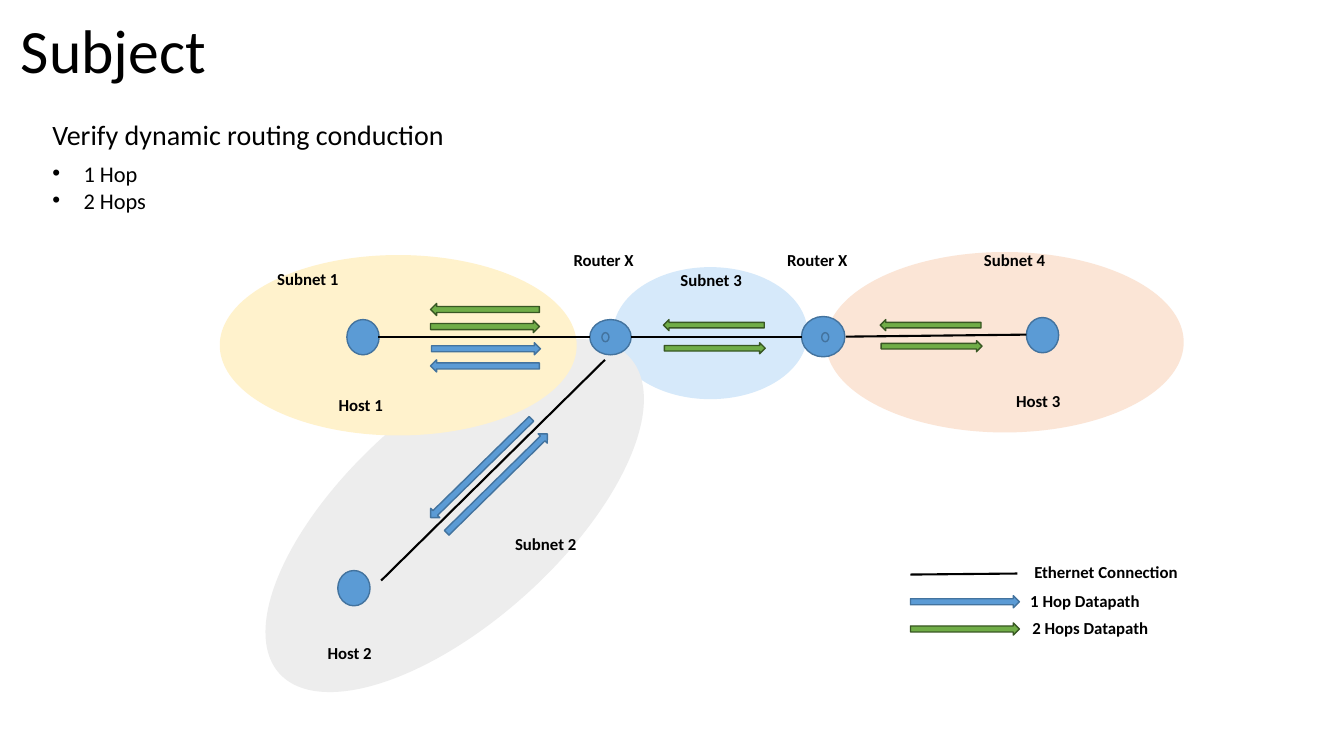
from lxml import etree
from pptx import Presentation
from pptx.dml.color import RGBColor
from pptx.enum.shapes import MSO_CONNECTOR, MSO_SHAPE
from pptx.enum.text import MSO_ANCHOR, MSO_AUTO_SIZE, PP_ALIGN
from pptx.oxml.ns import qn
from pptx.util import Inches, Pt

OVAL = MSO_SHAPE.OVAL
ARROW = MSO_SHAPE.RIGHT_ARROW
STRAIGHT = MSO_CONNECTOR.STRAIGHT
MIDDLE = MSO_ANCHOR.MIDDLE
GROW = MSO_AUTO_SIZE.SHAPE_TO_FIT_TEXT
LEFT = PP_ALIGN.LEFT

COLORS = {
    "black": "000000", "blue": "5B9BD5", "navy": "43739E",
    "green": "70AD47", "moss": "385723", "peach": "FBE5D6",
    "sky": "D6E9FA", "gray": "EDEDED", "cream": "FFF2CC",
}
EDGES = {"blue": "navy", "green": "moss"}


def color(name):
    return RGBColor.from_string(COLORS[name])


def write(para, text, size=12, bold=False, bullet=None, after=0, space=None):
    """Put formatted text into a paragraph."""
    if bullet:
        props = para._p.get_or_add_pPr()
        props.set("marL", str(Inches(0.31)))
        props.set("indent", str(-Inches(0.31)))
        etree.SubElement(props, qn("a:buFont")).set("typeface", "Arial")
        etree.SubElement(props, qn("a:buChar")).set("char", bullet)
    para.alignment = LEFT
    para.space_after = Pt(after)
    if space:
        para.line_spacing = space
    run = para.add_run()
    run.text = text
    run.font.name = "Calibri"
    run.font.size = Pt(size)
    run.font.bold = bold
    run.font.color.rgb = color("black")


class Board:
    def __init__(self, slide):
        self.slide = slide

    def shape(self, kind, x, y, w, h, fill, turn=0):
        item = self.slide.shapes.add_shape(
            kind, Inches(x), Inches(y), Inches(w), Inches(h))
        item.shadow.inherit = False
        item.rotation = turn
        item.fill.solid()
        item.fill.fore_color.rgb = color(fill)
        if fill in EDGES:
            item.line.color.rgb = color(EDGES[fill])
            item.line.width = Pt(1)
        else:
            item.line.fill.background()

    def link(self, x1, y1, x2, y2):
        item = self.slide.shapes.add_connector(
            STRAIGHT, Inches(x1), Inches(y1), Inches(x2), Inches(y2))
        item.line.color.rgb = color("black")
        item.line.width = Pt(1.5)
        etree.SubElement(item._element.spPr, qn("a:effectLst"))

    def box(self, x, y, w, h, wrap=False):
        item = self.slide.shapes.add_textbox(
            Inches(x), Inches(y), Inches(w), Inches(h))
        frame = item.text_frame
        frame.word_wrap = wrap
        if not wrap:
            frame.auto_size = GROW
        return frame

    def label(self, text, x, y, w):
        write(self.box(x, y, w, 0.3).paragraphs[0], text, bold=True)


def main():
    deck = Presentation()
    deck.slide_width = Inches(13.33)
    deck.slide_height = Inches(7.5)
    board = Board(deck.slides.add_slide(deck.slide_layouts[6]))

    # Title and goals
    title = board.box(0.11, -0.19, 11.5, 1.45, wrap=True)
    title.vertical_anchor = MIDDLE
    write(title.paragraphs[0], "Subject", size=44, space=0.9)
    goals = board.box(0.42, 1.12, 4.12, 1.06)
    write(goals.paragraphs[0], "Verify dynamic routing conduction",
          size=20, after=6)
    for text in ("1 Hop", "2 Hops"):
        write(goals.add_paragraph(), text, size=16, bullet="•")

    # Subnet areas
    for x, y, w, h, fill, turn in (
            (8.19, 2.5, 3.55, 1.79, "peach", 0),
            (6.08, 2.65, 1.93, 1.31, "sky", 0),
            (2.17, 4.06, 4.68, 2.11, "gray", 318),
            (2.18, 2.53, 3.54, 1.79, "cream", 0)):
        board.shape(OVAL, x, y, w, h, fill, turn)

    # Routers, each with a small port, and hosts
    for x, y, w, h, port in ((5.85, 3.17, 0.41, 0.35, 5.97),
                             (7.95, 3.14, 0.43, 0.4, 8.15)):
        board.shape(OVAL, x, y, w, h, "blue")
        board.shape(OVAL, port, 3.3, 0.07, 0.09, "blue")
    for x, y in ((3.44, 3.17), (3.35, 5.66), (10.18, 3.15)):
        board.shape(OVAL, x, y, 0.32, 0.35, "blue")

    # Ethernet links, the last one in the legend
    for ends in ((6.26, 3.34, 7.95, 3.34), (3.75, 3.34, 5.85, 3.34),
                 (8.39, 3.34, 10.18, 3.32), (6, 3.57, 3.78, 5.76),
                 (9.03, 5.7, 10.09, 5.69)):
        board.link(*ends)

    # Datapath arrows
    for x, y, fill, turn in (
            (4.28, 3.4, "blue", 0), (4.27, 3.57, "blue", 180),
            (4.27, 3.18, "green", 0), (4.27, 3.01, "green", 180),
            (9.03, 5.91, "blue", 0), (9.03, 6.18, "green", 0)):
        board.shape(ARROW, x, y, 1.08, 0.12, fill, turn)
    for x, y, turn in ((6.59, 3.4, 0), (6.58, 3.17, 180),
                       (8.74, 3.38, 0), (8.73, 3.17, 180)):
        board.shape(ARROW, x, y, 1, 0.11, "green", turn)
    for x, y, turn in ((4.07, 4.58, 135.6), (4.23, 4.73, 315.5)):
        board.shape(ARROW, x, y, 1.4, 0.13, "blue", turn)

    # Labels
    for text, x, y, w in (
            ("Router X", 5.59, 2.43, 0.9), ("Router X", 7.71, 2.43, 0.9),
            ("Host 1", 3.26, 3.87, 0.65), ("Host 2", 3.15, 6.33, 0.65),
            ("Host 3", 9.98, 3.83, 0.65), ("Subnet 1", 2.65, 2.62, 0.82),
            ("Subnet 2", 5.01, 5.25, 0.82), ("Subnet 3", 6.65, 2.63, 0.82),
            ("Subnet 4", 9.66, 2.43, 0.82),
            ("Ethernet Connection", 10.16, 5.52, 1.64),
            ("1 Hop Datapath", 10.12, 5.81, 1.3),
            ("2 Hops Datapath", 10.14, 6.08, 1.37)):
        board.label(text, x, y, w)

    deck.save("out.pptx")


if __name__ == "__main__":
    main()
